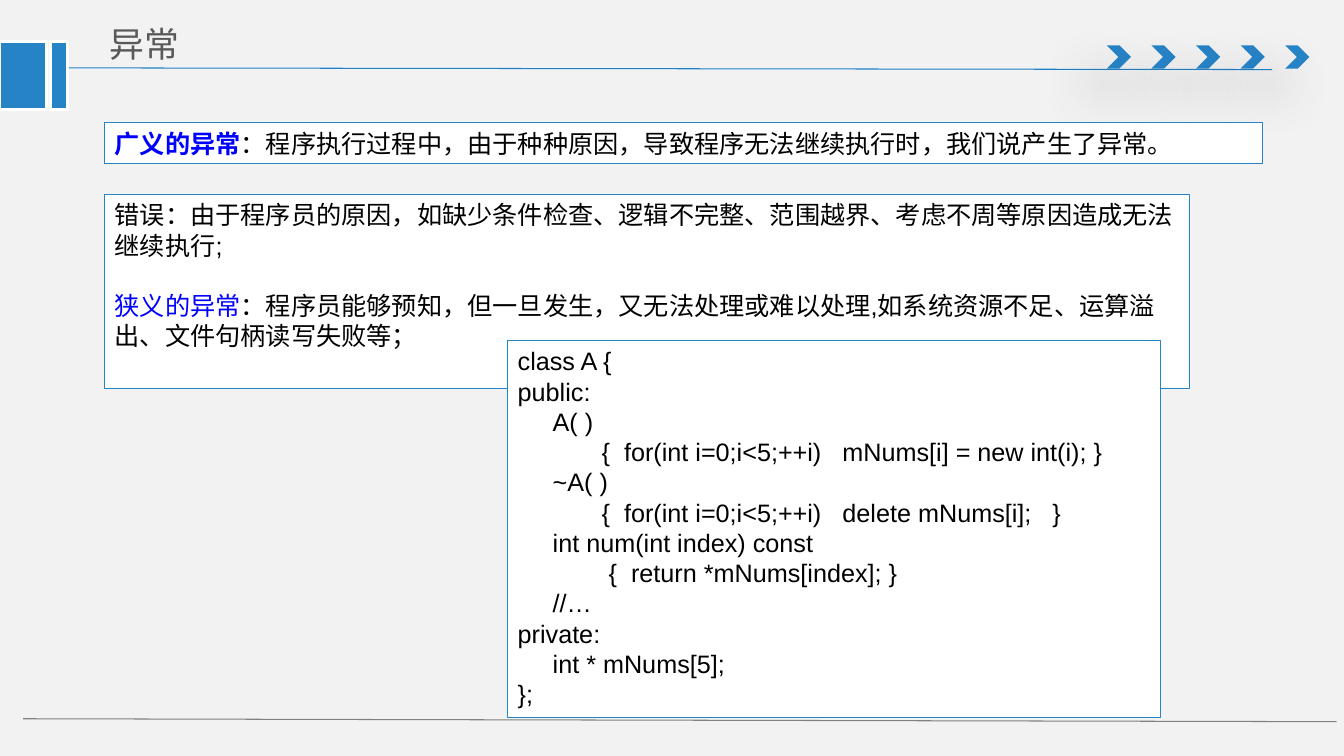
import pptx
import pptx.util
import pptx.dml.color
import pptx.enum.shapes
import pptx.enum.text
import pptx.oxml
import pptx.oxml.ns
from lxml import etree

Pt = pptx.util.Pt
qn = pptx.oxml.ns.qn
SHAPE = pptx.enum.shapes.MSO_SHAPE
ANCHOR = pptx.enum.text.MSO_ANCHOR

COLOURS = {
    "backdrop": "F2F2F2",
    "accent": "2683C6",
    "header_rule": "2181C6",
    "footer_rule": "808080",
    "title": "595959",
    "term": "0000FF",
    "body": "000000",
    "panel": "FFFFFF",
}

CODE_LINES = [
    ("class A {", []),
    ("public:", []),
    ("\tA( )", [25]),
    ("\t{\tfor(int i=0;i<5;++i)\tmNums[i] = new int(i); }", [60, 76, 232]),
    ("\t~A( )", [25]),
    ("\t{\tfor(int i=0;i<5;++i)\tdelete mNums[i];\t}", [60, 76, 232, 382]),
    ("\tint num(int index) const", [25]),
    ("\t{\treturn *mNums[index]; }", [65, 81]),
    ("\t//…", [25]),
    ("private:", []),
    ("\tint * mNums[5];", [25]),
    ("};", []),
]


def rgb(name):
    return pptx.dml.color.RGBColor.from_string(COLOURS[name])


def add_block(slide, kind, box, fill, line=None, width=0.75):
    block = slide.shapes.add_shape(kind, *map(Pt, box))
    block.shadow.inherit = False
    block.fill.solid()
    block.fill.fore_color.rgb = rgb(fill)
    if line:
        block.line.color.rgb = rgb(line)
        block.line.width = Pt(width)
    else:
        block.line.fill.background()
    return block


def add_rule(slide, start, end, colour):
    rule = slide.shapes.add_connector(
        pptx.enum.shapes.MSO_CONNECTOR.STRAIGHT, *map(Pt, start + end))
    rule.line.color.rgb = rgb(colour)
    rule.line.width = Pt(0.75)
    etree.SubElement(rule._element.spPr, qn("a:effectLst"))


def cast_shadow(block):
    effects = block._element.spPr.find(qn("a:effectLst"))
    shadow = etree.SubElement(
        effects, qn("a:outerShdw"), blurRad=str(Pt(36)), dist=str(Pt(24)),
        dir=str(130 * 60000), rotWithShape="0")
    black = etree.SubElement(shadow, qn("a:srgbClr"), val=COLOURS["body"])
    etree.SubElement(black, qn("a:alpha"), val="38000")


def add_run(paragraph, text, colour="body", size=18, bold=False):
    run = paragraph.add_run()
    run.text = text
    run.font.name = "Arial"
    run.font.size = Pt(size)
    run.font.bold = bold
    run.font.color.rgb = rgb(colour)


def set_tabs(paragraph, stops):
    tabs = etree.SubElement(paragraph._p.get_or_add_pPr(), qn("a:tabLst"))
    for stop in stops:
        etree.SubElement(tabs, qn("a:tab"), pos=str(Pt(stop)), algn="l")


def add_panel(slide, box, count):
    panel = add_block(slide, SHAPE.RECTANGLE, box, "panel", "accent")
    frame = panel.text_frame
    frame.word_wrap = True
    frame.vertical_anchor = ANCHOR.TOP
    for _ in range(count - 1):
        frame.add_paragraph()
    for paragraph in frame.paragraphs:
        paragraph.alignment = pptx.enum.text.PP_ALIGN.LEFT
    return frame.paragraphs


def add_title(slide, text):
    title = slide.shapes.add_textbox(Pt(71.3), Pt(10), Pt(333.4), Pt(39.6))
    title.text_frame.word_wrap = True
    title.text_frame.vertical_anchor = ANCHOR.BOTTOM
    add_run(title.text_frame.paragraphs[0], text, "title", 24.9)


def add_decoration(slide):
    add_rule(slide, (38.2, 48.5), (908.6, 49.7), "header_rule")
    for index in range(5):
        chevron = add_block(slide, SHAPE.CHEVRON,
                            (790.6 + index * 31.86, 32.4, 17.3, 16.6), "accent")
        cast_shadow(chevron)
    add_rule(slide, (16.6, 513.4), (954.7, 515.5), "footer_rule")
    for left, width in ((0, 33), (36, 12.2)):
        add_block(slide, SHAPE.RECTANGLE, (left, 29.5, width, 49), "accent", "panel", 2)


def main():
    deck = pptx.Presentation()
    deck.slide_width, deck.slide_height = Pt(960), Pt(540)
    slide = deck.slides.add_slide(deck.slide_layouts[6])
    slide.background.fill.solid()
    slide.background.fill.fore_color.rgb = rgb("backdrop")

    add_decoration(slide)
    add_title(slide, "异常")

    broad, = add_panel(slide, (74.9, 87.8, 826.6, 29.1), 1)
    add_run(broad, "广义的异常", "term", bold=True)
    add_run(broad, "：程序执行过程中，由于种种原因，导致程序无法继续执行时，我们说产生了异常。")

    error, narrow = add_panel(slide, (74.9, 139, 774.7, 138.2), 2)
    add_run(error, "错误：由于程序员的原因，如缺少条件检查、逻辑不完整、范围越界、考虑不周等原因造成无法继续执行;")
    narrow.space_before = Pt(21.6)
    add_run(narrow, "狭义的异常", "term")
    add_run(narrow, "：程序员能够预知，但一旦发生，又无法处理或难以处理,如系统资源不足、运算溢出、文件句柄读写失败等；")

    code = add_panel(slide, (362.7, 243.4, 466.6, 269.3), len(CODE_LINES))
    for paragraph, (text, stops) in zip(code, CODE_LINES):
        if stops:
            set_tabs(paragraph, stops)
        add_run(paragraph, text)

    deck.save("out.pptx")


main()
